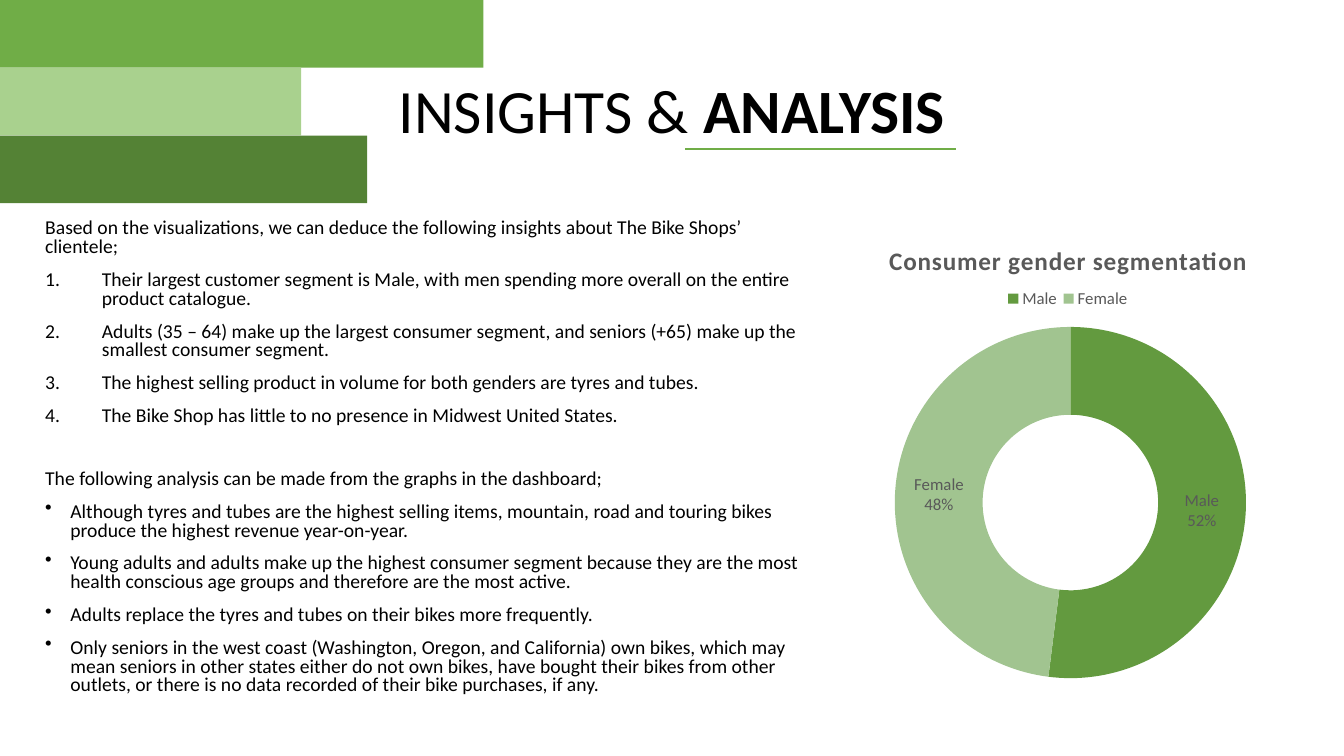
from lxml import etree
from pptx import Presentation
from pptx import util as u
from pptx.chart import data as chart_data
from pptx.dml.color import RGBColor
from pptx.enum import chart as ch, shapes, text
from pptx.oxml import ns

Pt = u.Pt
FONT = "Calibri"
COLOURS = {
    "text": "000000", "chart_text": "595959",
    "mid": "70AD47", "light": "A9D18E", "dark": "548235",
    "male": "639A3F", "female": "A1C490",
}
BAR_HEIGHT = 48.4
BARS = [("mid", 345.3), ("light", 215.2), ("dark", 262.3)]
INSIGHTS = [
    "Their largest customer segment is Male, with men spending more overall on the entire product catalogue.",
    "Adults (35 – 64) make up the largest consumer segment, and seniors (+65) make up the smallest consumer segment.",
    "The highest selling product in volume for both genders are tyres and tubes.",
    "The Bike Shop has little to no presence in Midwest United States.",
]
ANALYSIS = [
    "Although tyres and tubes are the highest selling items, mountain, road and touring bikes produce the highest revenue year-on-year.",
    "Young adults and adults make up the highest consumer segment because they are the most health conscious age groups and therefore are the most active.",
    "Adults replace the tyres and tubes on their bikes more frequently.",
    "Only seniors in the west coast (Washington, Oregon, and California) own bikes, which may mean seniors in other states either do not own bikes, have bought their bikes from other outlets, or there is no data recorded of their bike purchases, if any.",
]
SECTIONS = [
    ("Based on the visualizations, we can deduce the following insights about The Bike Shops’ clientele;",
     0, INSIGHTS, ("buAutoNum", {"type": "arabicPeriod"}, 40.5)),
    ("The following analysis can be made from the graphs in the dashboard;",
     31.5, ANALYSIS, ("buChar", {"char": "•"}, 18)),
]


def rgb(name):
    return RGBColor.from_string(COLOURS[name])


def apply(target, **values):
    for name, value in values.items():
        setattr(target, name, value)


def style(font, size, colour, bold=False):
    apply(font, name=FONT, size=Pt(size), bold=bold)
    font.color.rgb = rgb(colour)


def add_run(paragraph, words, size, bold=False):
    run = paragraph.add_run()
    run.text = words
    style(run.font, size, "text", bold)


def add_title(slide):
    title = slide.shapes.title
    apply(title, left=Pt(66), top=Pt(28.8), width=Pt(828), height=Pt(104.4))
    apply(title.text_frame, word_wrap=True, vertical_anchor=text.MSO_ANCHOR.MIDDLE)
    heading = title.text_frame.paragraphs[0]
    apply(heading, alignment=text.PP_ALIGN.CENTER, line_spacing=0.9)
    add_run(heading, "INSIGHTS & ", 44)
    add_run(heading, "ANALYSIS", 44, True)


def add_paragraph(frame, words, before, bullet=None):
    paragraph = frame.add_paragraph() if frame.text else frame.paragraphs[0]
    if bullet:
        tag, attributes, indent = bullet
        properties = paragraph._p.get_or_add_pPr()
        properties.set("marL", str(Pt(indent)))
        properties.set("indent", str(-Pt(indent)))
        etree.SubElement(properties, ns.qn("a:" + tag), attributes)
    apply(paragraph, line_spacing=0.8, space_before=Pt(before))
    add_run(paragraph, words, 14)


def add_findings(slide):
    findings = slide.shapes.add_textbox(Pt(25.2), Pt(153.4), Pt(560.9), Pt(357.8))
    frame = findings.text_frame
    frame.word_wrap = True
    for lead, before, items, bullet in SECTIONS:
        add_paragraph(frame, lead, before)
        for item in items:
            add_paragraph(frame, item, 10, bullet)


def place(element, index, **position):
    for old in element.findall(ns.qn("c:layout")):
        element.remove(old)
    layout = etree.Element(ns.qn("c:layout"))
    manual = etree.SubElement(layout, ns.qn("c:manualLayout"))
    for tag, value in position.items():
        etree.SubElement(manual, ns.qn("c:" + tag), val=str(value))
    element.insert(index, layout)


def add_gender_chart(slide):
    genders = chart_data.CategoryChartData()
    genders.categories = ["Male", "Female"]
    genders.add_series("Series 1", (52, 48))
    chart = slide.shapes.add_chart(
        ch.XL_CHART_TYPE.DOUGHNUT, Pt(581), Pt(153.4), Pt(363.6), Pt(342.7), genders).chart
    style(chart.font, 10, "text")

    chart.has_title = True
    caption = chart.chart_title.text_frame.paragraphs[0].add_run()
    caption.text = "Consumer gender segmentation"
    style(caption.font, 18, "chart_text", True)
    caption._r.get_or_add_rPr().set("spc", "60")

    chart.has_legend = True
    apply(chart.legend, position=ch.XL_LEGEND_POSITION.TOP, include_in_layout=False)
    style(chart.legend.font, 12, "chart_text")

    plot = chart.plots[0]
    apply(plot, vary_by_categories=True, has_data_labels=True)
    apply(plot.data_labels, show_percentage=True, show_category_name=True,
          show_value=False, show_legend_key=False)
    style(plot.data_labels.font, 12, "chart_text")
    for index, gender in enumerate(("male", "female")):
        fill = plot.series[0].points[index].format.fill
        fill.solid()
        fill.fore_color.rgb = rgb(gender)

    edges = {"xMode": "edge", "yMode": "edge"}
    place(chart.chart_title._element, 1, **edges, x=0.14, y=0.05)
    place(chart.legend._element, 1, **edges, x=0.37, y=0.15, w=0.26, h=0.05)
    place(chart._chartSpace.chart.plotArea, 0, layoutTarget="inner", **edges,
          x=0.16, y=0.23, w=0.69, h=0.74)


def add_bar(slide, row, colour, width):
    bar = slide.shapes.add_shape(
        shapes.MSO_SHAPE.RECTANGLE, 0, Pt(row * BAR_HEIGHT), Pt(width), Pt(BAR_HEIGHT))
    bar.shadow.inherit = False
    bar.fill.solid()
    bar.fill.fore_color.rgb = rgb(colour)
    bar.line.fill.background()


def add_underline(slide):
    underline = slide.shapes.add_connector(
        shapes.MSO_CONNECTOR.STRAIGHT, Pt(489.6), Pt(106.5), Pt(682.6), Pt(106.5))
    underline.line.color.rgb = rgb("mid")
    underline.line.width = Pt(1.5)
    etree.SubElement(underline._element.spPr, ns.qn("a:effectLst"))


def main():
    deck = Presentation()
    apply(deck, slide_width=Pt(960), slide_height=Pt(540))
    slide = deck.slides.add_slide(deck.slide_layouts[5])
    add_title(slide)
    add_findings(slide)
    add_gender_chart(slide)
    for row, (colour, width) in enumerate(BARS):
        add_bar(slide, row, colour, width)
    add_underline(slide)
    deck.save("out.pptx")


if __name__ == "__main__":
    main()
